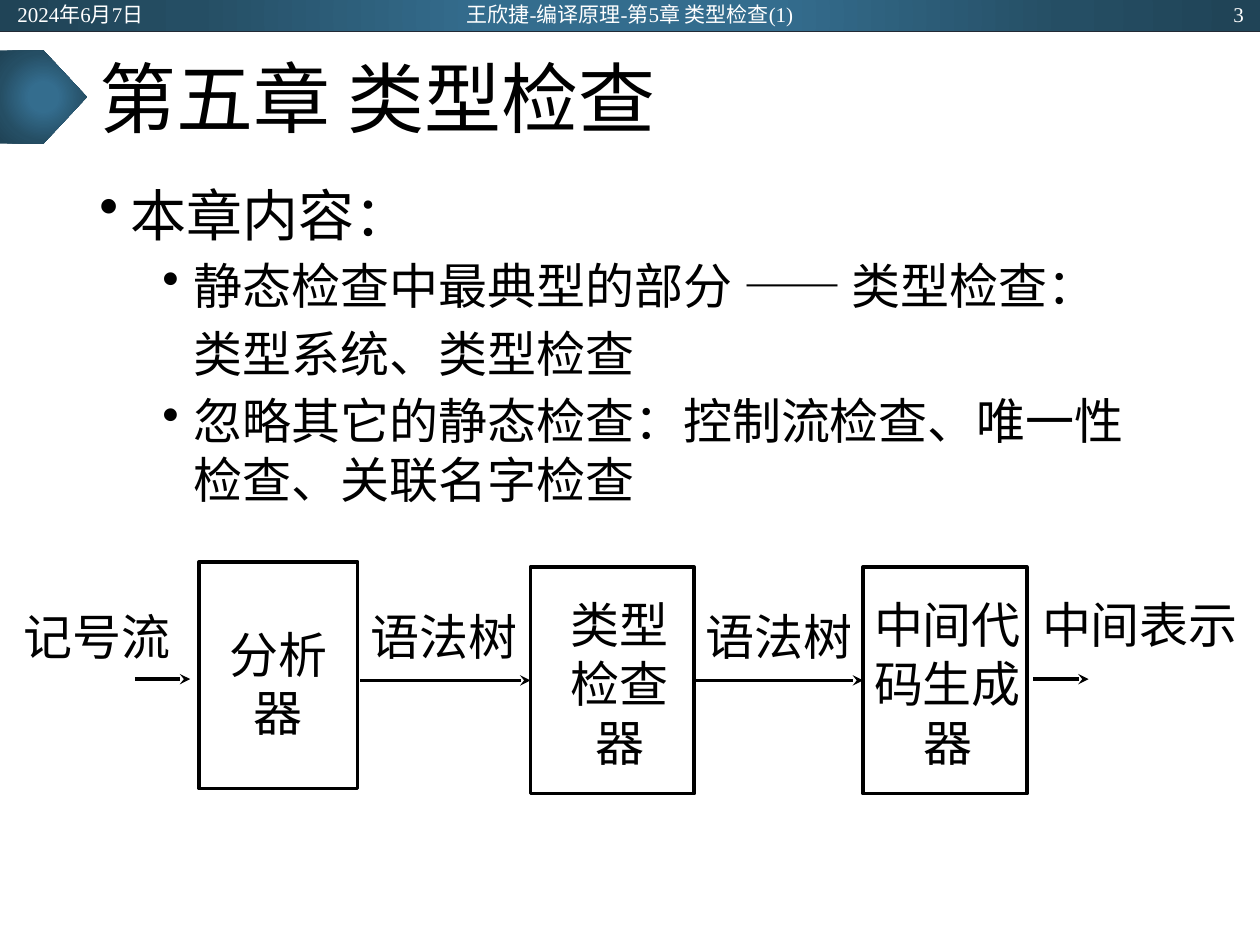
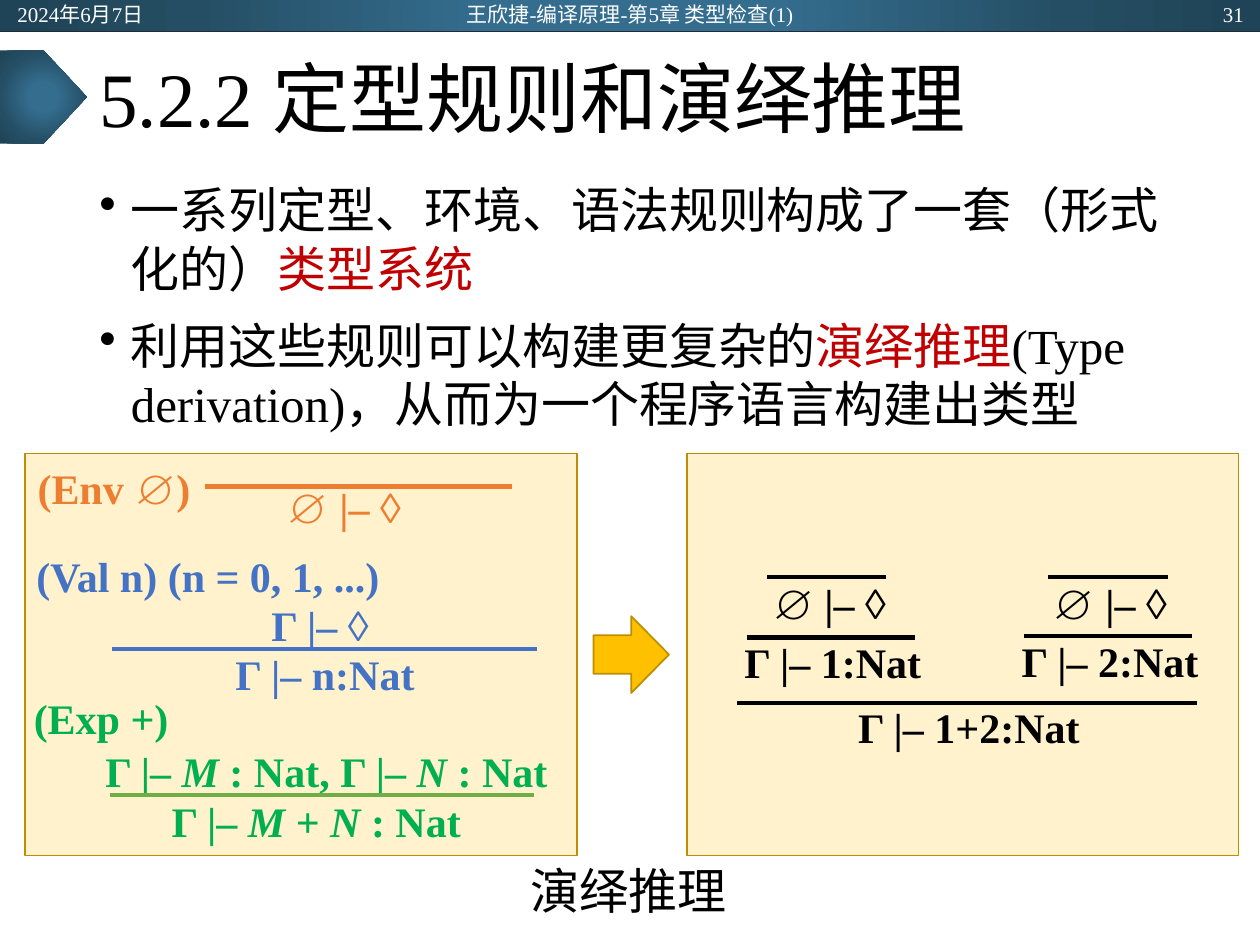
import pptx
import pptx.util
import pptx.oxml
import pptx.dml.color
import pptx.enum.shapes
import pptx.enum.text
from lxml import etree

Inches, Pt = pptx.util.Inches, pptx.util.Pt
RGB = pptx.dml.color.RGBColor
SHAPE = pptx.enum.shapes.MSO_SHAPE
ALIGN = pptx.enum.text.PP_ALIGN
MIDDLE = pptx.enum.text.MSO_ANCHOR.MIDDLE
TOP = pptx.enum.text.MSO_ANCHOR.TOP
A = "http://schemas.openxmlformats.org/drawingml/2006/main"

COLORS = {
    "black": "000000", "white": "FFFFFF", "red": "C00000", "rule": "222A35",
    "orange": "ED7D31", "blue": "4472C4", "green": "00B050", "leaf": "70AD47",
    "cream": "FFF2CC", "gold": "BD8E00", "amber": "FFC000",
}
BAND_STOPS = [(0, "346D8E"), (23, "346D8E"), (69, "254E64"), (97, "204457")]
LATIN, CJK = "Times New Roman", "Noto Sans CJK SC"


def write_text(box, paragraphs, size=28, color="black", align=ALIGN.LEFT, anchor=TOP,
               insets=(0.1, 0.05, 0.1, 0.05), bold=False, font=LATIN):
    """Fill a box; a paragraph is a string or a list of (text, overrides)."""
    frame = box.text_frame
    frame.word_wrap = True
    frame.vertical_anchor = anchor
    (frame.margin_left, frame.margin_top,
     frame.margin_right, frame.margin_bottom) = map(Inches, insets)
    for index, spans in enumerate(paragraphs):
        para = frame.paragraphs[0] if index == 0 else frame.add_paragraph()
        para.alignment = align
        if isinstance(spans, str):
            spans = [(spans, {})]
        for text, style in spans:
            span = para.add_run()
            span.text = text
            span.font.name = style.get("font", font)
            span.font.size = Pt(style.get("size", size))
            span.font.bold = bold
            span.font.italic = style.get("italic", False)
            span.font.color.rgb = RGB.from_string(COLORS[style.get("color", color)])
            if any(letter >= "一" for letter in text):
                east = etree.Element(f"{{{A}}}ea", typeface=CJK)
                span.font._element.find(f"{{{A}}}latin").addnext(east)
                # Fixed pitch keeps mixed Chinese and Latin lines even
                para.line_spacing = Pt(round(1.2 * style.get("size", size), 1))


def add_line(shapes, start, end, color, width, arrow=False):
    line = shapes.add_connector(pptx.enum.shapes.MSO_CONNECTOR.STRAIGHT,
                                *map(Inches, start + end))
    line.line.color.rgb = RGB.from_string(COLORS[color])
    line.line.width = Pt(width)
    if arrow:
        etree.SubElement(line.line._get_or_add_ln(), f"{{{A}}}tailEnd", type="stealth")
    etree.SubElement(line._element.spPr, f"{{{A}}}effectLst")
    return line


deck = pptx.Presentation()
deck.slide_width, deck.slide_height = Inches(10), Inches(7.5)

# Page contents: number, title, body as (level, spans), None marks no bullet
noto = {"font": CJK}
key = {"font": CJK, "color": "red"}
contents = [
    ("3", "第五章 类型检查", [
        (0, True, [("本章内容：", {"size": 32})]),
        (1, True, [("静态检查中最典型的部分 —— 类型检查：", {})]),
        (1, False, [("类型系统、类型检查", {})]),
        (1, True, [("忽略其它的静态检查：", {}),
                   ("控制流检查、唯一性检查、关联名字检查", noto)]),
    ]),
    ("31", "5.2.2 定型规则和演绎推理", [
        (0, True, [("一系列定型、环境、语法规则构成了一套（形式化的）", noto),
                   ("类型系统", key)]),
        (0, True, [("利用这些规则可以构建更复杂的", noto), ("演绎推理", key),
                   ("(Type derivation)，从而为一个程序语言构建出类型", {})]),
    ]),
]

# Shared frame: band, pentagon, header texts, title and body
pages = []
for number, title, body in contents:
    page = deck.slides.add_slide(deck.slide_layouts[6])
    pages.append(page)
    for kind, at in [(SHAPE.RECTANGLE, (0, 0, 10, 0.25)),
                     (SHAPE.PENTAGON, (0, 0.4, 0.69, 0.74))]:
        band = page.shapes.add_shape(kind, *map(Inches, at))
        band.shadow.inherit = False
        band.line.fill.background()
        stops = "".join(f'<a:gs pos="{pos * 1000}"><a:srgbClr val="{tone}"/></a:gs>'
                        for pos, tone in BAND_STOPS)
        band._element.spPr.insert(2, pptx.oxml.parse_xml(
            f'<a:gradFill xmlns:a="{A}" rotWithShape="1"><a:gsLst>{stops}</a:gsLst>'
            '<a:path path="circle"><a:fillToRect l="50000" t="50000" r="50000" b="50000"/>'
            '</a:path></a:gradFill>'))
    add_line(page.shapes, (0, 0.25), (10, 0.25), "rule", 0.5)

    for text, left, width, align in [
            ("2024年6月7日", 0.04, 2.25, ALIGN.LEFT),
            ("王欣捷-编译原理-第5章 类型检查(1)", 3.31, 3.38, ALIGN.CENTER),
            (number, 7.72, 2.25, ALIGN.RIGHT)]:
        header = page.shapes.add_textbox(*map(Inches, (left, 0.01, width, 0.2)))
        write_text(header, [text], 12, "white", align, MIDDLE)

    title_box = page.shapes.add_textbox(*map(Inches, (0.69, 0.25, 8.62, 1.04)))
    write_text(title_box, [title], 44, anchor=MIDDLE)

    body_box = page.shapes.add_textbox(*map(Inches, (0.69, 1.38, 8.62, 2.8)))
    write_text(body_box, [spans for level, bullet, spans in body])
    for index, (level, bullet, spans) in enumerate(body):
        para = body_box.text_frame.paragraphs[index]
        para.level = level
        if index:
            para.space_before = Pt(5 if level else 10)
        props = para._p.get_or_add_pPr()
        props.set("marL", str(Inches(0.25 + 0.5 * level)))
        props.set("indent", str(Inches(-0.25 if bullet else 0)))
        if bullet:
            etree.SubElement(props, f"{{{A}}}buChar", char="•")

flow_page, rule_page = pages

# Compiler pipeline: stages
stages = []
for at, lines, insets, font in [
        ((1.58, 4.46, 1.26, 1.8), ["分析", "器"], (0.1, 0.17, 0.1, 0.05), LATIN),
        ((4.21, 4.5, 1.3, 1.8), ["类型", "检查", "器"], (0.14, 0.05, 0.02, 0.01), LATIN),
        ((6.85, 4.5, 1.3, 1.8), ["中间代码生成", "器"], (0.06, 0.05, 0.02, 0.01), CJK)]:
    stage = flow_page.shapes.add_shape(SHAPE.RECTANGLE, *map(Inches, at))
    stage.shadow.inherit = False
    stage.fill.background()
    stage.line.color.rgb = RGB.from_string(COLORS["black"])
    stage.line.width = Pt(2)
    write_text(stage, lines, align=ALIGN.CENTER, anchor=MIDDLE, insets=insets, font=font)
    stages.append(stage)
parser, checker, generator = stages

# Compiler pipeline: arrows and what flows along them
add_line(flow_page.shapes, (1.07, 5.39), (1.51, 5.39), "black", 2, True)
add_line(flow_page.shapes, (8.2, 5.39), (8.64, 5.39), "black", 2, True)
tree_in = add_line(flow_page.shapes, (2.86, 5.4), (4.21, 5.4), "black", 2, True)
tree_in.end_connect(checker, 1)
tree_out = add_line(flow_page.shapes, (5.51, 5.4), (6.85, 5.4), "black", 2, True)
tree_out.begin_connect(checker, 3)
tree_out.end_connect(generator, 1)
for text, left, top, width in [("记号流", 0.17, 4.8, 1.33), ("语法树", 2.92, 4.8, 1.42),
                               ("语法树", 5.58, 4.8, 1.33), ("中间表示", 8.25, 4.71, 1.75)]:
    label = flow_page.shapes.add_textbox(*map(Inches, (left, top, width, 0.58)))
    write_text(label, [text], align=ALIGN.JUSTIFY, insets=(0.02, 0.01, 0.1, 0.05))

# Typing rules on the left, derivation on the right
rules = rule_page.shapes.add_group_shape().shapes
derivation = rule_page.shapes.add_group_shape().shapes
for shapes, kind, at, fill in [
        (rules, SHAPE.RECTANGLE, (0.2, 3.6, 4.38, 3.19), "cream"),
        (derivation, SHAPE.RIGHT_ARROW, (4.71, 4.89, 0.6, 0.61), "amber"),
        (derivation, SHAPE.RECTANGLE, (5.45, 3.6, 4.38, 3.19), "cream")]:
    panel = shapes.add_shape(kind, *map(Inches, at))
    panel.shadow.inherit = False
    panel.fill.solid()
    panel.fill.fore_color.rgb = RGB.from_string(COLORS[fill])
    panel.line.color.rgb = RGB.from_string(COLORS["gold"])
    panel.line.width = Pt(1)

# Rule names
for text, left, top, color in [("(Env ∅)", 0.2, 3.62, "orange"),
                               ("(Val n) (n = 0, 1, ...)", 0.19, 4.32, "blue"),
                               ("(Exp +)", 0.17, 5.45, "green")]:
    name = rules.add_textbox(*map(Inches, (left, top, 3.4, 0.5)))
    write_text(name, [text], 24, color, bold=True)

# Judgements, one line each, by centre point
slanted = {"italic": True}
for shapes, x, y, judgement, color in [
        (rules, 2.73, 4.02, "∅ |– ◊", "orange"),
        (rules, 2.54, 4.96, "Γ |– ◊", "blue"),
        (rules, 2.58, 5.35, "Γ |– n:Nat", "blue"),
        (rules, 2.59, 6.12, [("Γ |– ", {}), ("M", slanted), (" : Nat, Γ |– ", {}),
                             ("N", slanted), (" : Nat", {})], "green"),
        (rules, 2.51, 6.51, [("Γ |– ", {}), ("M ", slanted), ("+ ", {}),
                             ("N", slanted), (" : Nat", {})], "green"),
        (derivation, 6.58, 4.78, "∅ |– ◊", "black"),
        (derivation, 8.81, 4.78, "∅ |– ◊", "black"),
        (derivation, 6.61, 5.25, "Γ |– 1:Nat", "black"),
        (derivation, 8.81, 5.24, "Γ |– 2:Nat", "black"),
        (derivation, 7.69, 5.77, "Γ |– 1+2:Nat", "black")]:
    width = 3.9 if shapes is rules else 2.1
    line_box = shapes.add_textbox(*map(Inches, (x - width / 2, y - 0.25, width, 0.5)))
    write_text(line_box, [judgement], 24, color, ALIGN.CENTER, MIDDLE, bold=True)

# Inference bars
for shapes, left, right, y, color in [
        (rules, 1.63, 4.06, 3.86, "orange"), (rules, 0.89, 4.26, 5.15, "blue"),
        (rules, 0.87, 4.24, 6.31, "leaf"),
        (derivation, 6.09, 7.03, 4.58, "black"), (derivation, 8.32, 9.27, 4.58, "black"),
        (derivation, 5.93, 7.26, 5.06, "black"), (derivation, 8.13, 9.46, 5.05, "black"),
        (derivation, 5.85, 9.5, 5.58, "black")]:
    add_line(shapes, (left, y), (right, y), color, 2.5)

# Caption
caption = rule_page.shapes.add_textbox(*map(Inches, (4.11, 6.78, 1.82, 0.57)))
write_text(caption, ["演绎推理"], font=CJK)

deck.save("out.pptx")
